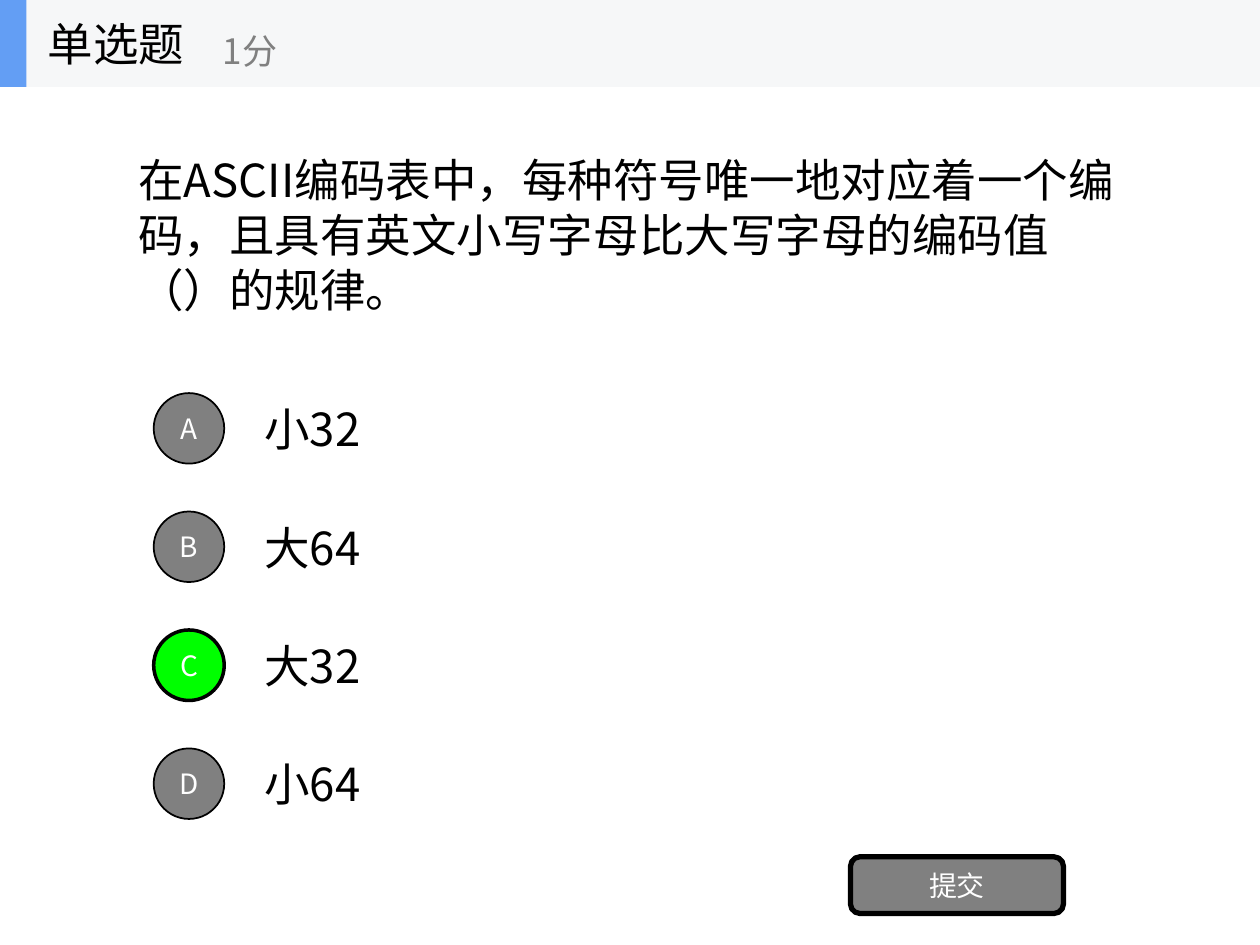
from pptx import Presentation
from pptx.dml.color import RGBColor
from pptx.enum.shapes import MSO_SHAPE
from pptx.enum.text import MSO_ANCHOR, PP_ALIGN
from pptx.oxml.ns import qn
from pptx.util import Inches, Pt
from lxml import etree

FONT = "Noto Sans CJK SC"
BLACK = RGBColor(0x00, 0x00, 0x00)
WHITE = RGBColor(0xFF, 0xFF, 0xFF)
GRAY = RGBColor(0x80, 0x80, 0x80)
GREEN = RGBColor(0x00, 0xFF, 0x00)
BLUE = RGBColor(0x63, 0x9E, 0xF4)
PALE = RGBColor(0xF6, 0xF7, 0xF8)

RECTANGLE = MSO_SHAPE.RECTANGLE
ROUNDED = MSO_SHAPE.ROUNDED_RECTANGLE
OVAL = MSO_SHAPE.OVAL
MIDDLE = MSO_ANCHOR.MIDDLE
LEFT, CENTER = PP_ALIGN.LEFT, PP_ALIGN.CENTER

QUESTION = "在ASCII编码表中，每种符号唯一地对应着一个编码，且具有英文小写字母比大写字母的编码值（）的规律。"
OPTIONS = [("A", "小32"), ("B", "大64"), ("C", "大32"), ("D", "小64")]
ANSWER = "C"
OPTION_TOP, OPTION_STEP = 3.05, 0.94
OPTION_HEIGHT, BADGE_SIZE = 0.7, 0.56


def write_text(box, text, size, color, align=LEFT, wrap=True):
    frame = box.text_frame
    frame.word_wrap = wrap
    frame.vertical_anchor = MIDDLE
    para = frame.paragraphs[0]
    para.text = text
    para.alignment = align
    para.font.name = FONT
    para.font.size = Pt(size)
    para.font.color.rgb = color
    # Chinese characters take the East Asian typeface
    defaults = para._p.pPr.find(qn("a:defRPr"))
    etree.SubElement(defaults, qn("a:ea"), typeface=FONT)


def add_text(shapes, bounds, text, size=26, color=BLACK, wrap=True):
    box = shapes.add_textbox(*map(Inches, bounds))
    write_text(box, text, size, color, wrap=wrap)


def add_block(shapes, kind, bounds, fill, line_width=0):
    block = shapes.add_shape(kind, *map(Inches, bounds))
    block.shadow.inherit = False
    block.fill.solid()
    block.fill.fore_color.rgb = fill
    if line_width:
        block.line.color.rgb = BLACK
        block.line.width = Pt(line_width)
    else:
        block.line.fill.background()
    return block


def add_button(shapes, kind, bounds, text, fill, line_width):
    button = add_block(shapes, kind, bounds, fill, line_width)
    frame = button.text_frame
    frame.margin_left = frame.margin_right = 0
    frame.margin_top = frame.margin_bottom = 0
    write_text(button, text, 16, WHITE, CENTER)


def add_option(shapes, index, letter, text):
    top = OPTION_TOP + index * OPTION_STEP
    add_text(shapes, (2, top, 7, OPTION_HEIGHT), text)
    badge_top = top + (OPTION_HEIGHT - BADGE_SIZE) / 2
    fill, line_width = (GREEN, 2) if letter == ANSWER else (GRAY, 1)
    add_button(shapes, OVAL, (1.22, badge_top, BADGE_SIZE, BADGE_SIZE),
               letter, fill, line_width)


def add_header(slide):
    shapes = slide.shapes.add_group_shape().shapes
    add_block(shapes, RECTANGLE, (0, 0, 10, 0.69), PALE)
    add_block(shapes, RECTANGLE, (0, 0, 0.21, 0.69), BLUE)
    add_text(shapes, (0.28, 0, 2.08, 0.69), "单选题", wrap=False)
    add_text(shapes, (1.67, 0.12, 2.5, 0.56), "1分", 20, GRAY, wrap=False)


def main():
    deck = Presentation()
    deck.slide_width, deck.slide_height = Inches(10), Inches(7.5)
    slide = deck.slides.add_slide(deck.slide_layouts[6])

    # Question and answer options
    add_text(slide.shapes, (1, 0.69, 8, 2.34), QUESTION)
    for index, (letter, text) in enumerate(OPTIONS):
        add_option(slide.shapes, index, letter, text)

    # Submit button and header bar
    add_button(slide.shapes, ROUNDED, (6.75, 6.8, 1.69, 0.45), "提交", GRAY, 3)
    add_header(slide)

    deck.save("out.pptx")


if __name__ == "__main__":
    main()
